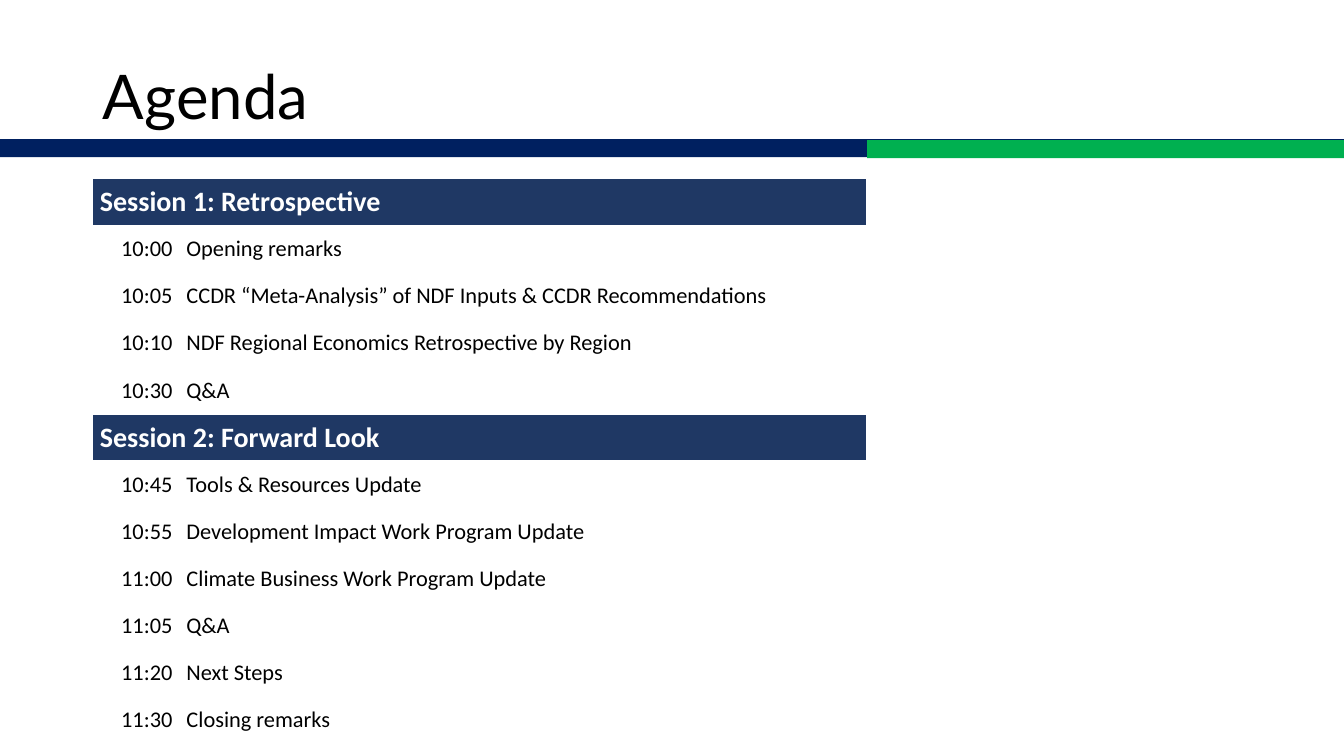
from dataclasses import dataclass

from pptx import Presentation
from pptx.dml.color import RGBColor
from pptx.enum.shapes import MSO_SHAPE as Shape
from pptx.enum.text import MSO_ANCHOR as Anchor, PP_ALIGN as Align
from pptx.util import Inches, Pt

COLORS = {
    "text": "000000",
    "paper": "FFFFFF",
    "session": "1F3864",
    "navy": "002060",
    "green": "00B050",
}
ROW_HEIGHT = 0.4675
COLUMN_WIDTHS = (0.86, 6.82)


@dataclass
class Item:
    time: str
    topic: str


@dataclass
class Session:
    heading: str
    items: list[Item]


@dataclass
class Band:
    left: float
    top: float
    width: float
    color: str


SESSIONS = [
    Session("Session 1: Retrospective", [
        Item("10:00", "Opening remarks"),
        Item("10:05", "CCDR “Meta-Analysis” of NDF Inputs & CCDR Recommendations"),
        Item("10:10", "NDF Regional Economics Retrospective by Region"),
        Item("10:30", "Q&A"),
    ]),
    Session("Session 2: Forward Look", [
        Item("10:45", "Tools & Resources Update"),
        Item("10:55", "Development Impact Work Program Update"),
        Item("11:00", "Climate Business Work Program Update"),
        Item("11:05", "Q&A"),
        Item("11:20", "Next Steps"),
        Item("11:30", "Closing remarks"),
    ]),
]
BANDS = [Band(0, 1.38, 13.33, "navy"), Band(8.6, 1.39, 4.73, "green")]


def rgb(name: str) -> RGBColor:
    return RGBColor.from_string(COLORS[name])


def write_text(frame, text: str, *, size: float, font: str = "Calibri",
               color: str = "text", bold: bool = False, align=Align.LEFT,
               space_before: float = 0, line_spacing: float = 1.0) -> None:
    paragraph = frame.paragraphs[0]
    paragraph.alignment = align
    paragraph.space_before = Pt(space_before)
    paragraph.line_spacing = line_spacing
    run = paragraph.add_run()
    run.text = text
    run.font.name = font
    run.font.size = Pt(size)
    run.font.bold = bold
    run.font.color.rgb = rgb(color)


def fill_cell(cell, text: str, *, fill: str = "paper", size: float = 16, **text_format) -> None:
    cell.fill.solid()
    cell.fill.fore_color.rgb = rgb(fill)
    cell.vertical_anchor = Anchor.MIDDLE
    cell.margin_left = cell.margin_right = Inches(0.07)
    cell.margin_top = cell.margin_bottom = 0
    write_text(cell.text_frame, text, size=size, space_before=6, **text_format)


def add_title(slide, text: str) -> None:
    title = slide.shapes.title
    title.left, title.top = Inches(0.92), Inches(0.32)
    title.width, title.height = Inches(11.5), Inches(1.05)
    title.text_frame.vertical_anchor = Anchor.BOTTOM
    write_text(title.text_frame, text, size=44, font="Lato", line_spacing=0.9)


def add_agenda(slide, sessions: list[Session]) -> None:
    row_count = sum(1 + len(session.items) for session in sessions)
    frame = slide.shapes.add_table(
        row_count, len(COLUMN_WIDTHS), Inches(0.92), Inches(1.77),
        Inches(sum(COLUMN_WIDTHS)), Inches(ROW_HEIGHT * row_count))
    table = frame.table
    table.first_row = table.horz_banding = False
    for column, width in zip(table.columns, COLUMN_WIDTHS):
        column.width = Inches(width)
    for row in table.rows:
        row.height = Inches(ROW_HEIGHT)

    row_index = 0
    for session in sessions:
        heading = table.cell(row_index, 0)
        heading.merge(table.cell(row_index, 1))
        fill_cell(heading, session.heading, fill="session", size=20, color="paper", bold=True)
        for row_index, item in enumerate(session.items, row_index + 1):
            fill_cell(table.cell(row_index, 0), item.time, align=Align.RIGHT)
            fill_cell(table.cell(row_index, 1), item.topic)
        row_index += 1


def add_bands(slide, bands: list[Band]) -> None:
    group = slide.shapes.add_group_shape()
    for band in bands:
        shape = group.shapes.add_shape(
            Shape.RECTANGLE, Inches(band.left), Inches(band.top),
            Inches(band.width), Inches(0.18))
        shape.shadow.inherit = False
        shape.fill.solid()
        shape.fill.fore_color.rgb = rgb(band.color)
        shape.line.fill.background()


def main() -> None:
    presentation = Presentation()
    presentation.slide_width = Inches(13.33)
    presentation.slide_height = Inches(7.5)
    # Title Only layout
    slide = presentation.slides.add_slide(presentation.slide_layouts[5])

    # Agenda table, title and divider under the title
    add_agenda(slide, SESSIONS)
    add_title(slide, "Agenda")
    add_bands(slide, BANDS)

    presentation.save("out.pptx")


if __name__ == "__main__":
    main()
